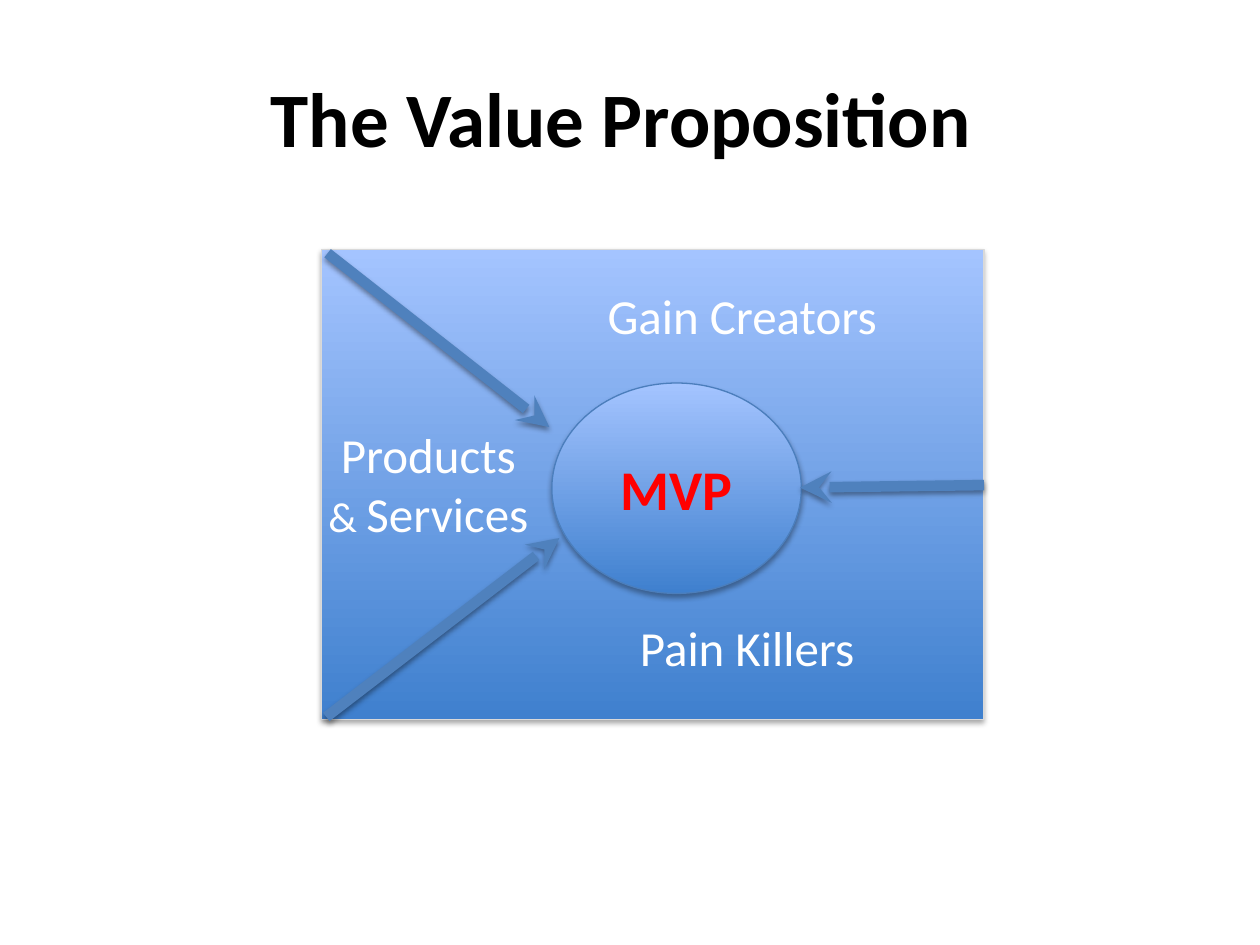
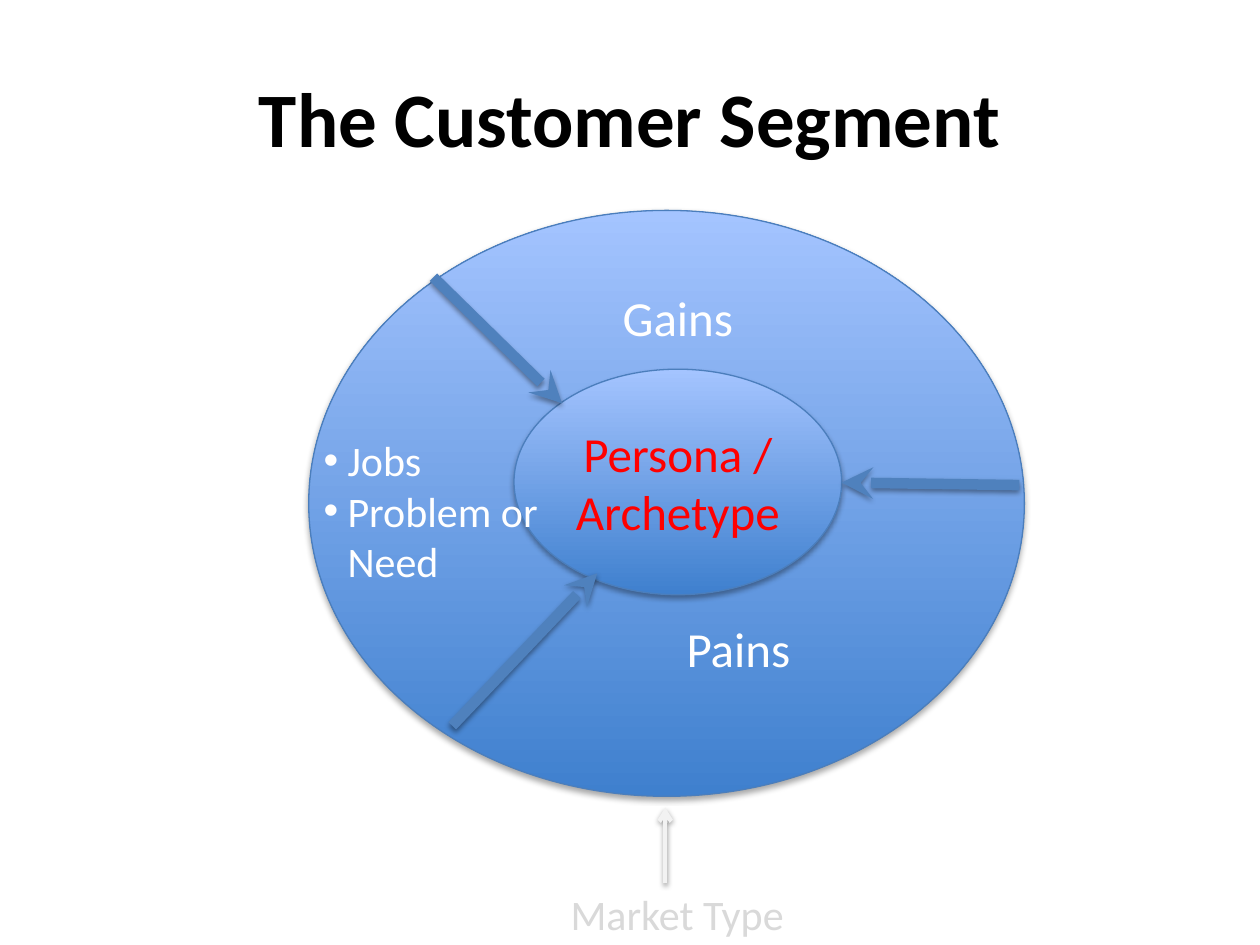
from dataclasses import dataclass

from lxml.etree import SubElement
from pptx import Presentation
from pptx.dml.color import RGBColor
from pptx.enum.shapes import MSO_CONNECTOR as Connector, MSO_SHAPE as Shape
from pptx.enum.text import MSO_ANCHOR as Anchor, MSO_AUTO_SIZE as AutoSize, PP_ALIGN as Align
from pptx.oxml.ns import qn
from pptx.util import Inches, Pt


@dataclass(frozen=True)
class Theme:
    font: str = "Calibri"
    title_size: int = 44
    core_size: int = 32
    label_size: int = 28
    small_size: int = 24
    black: str = "000000"
    white: str = "FFFFFF"
    accent: str = "FF0000"
    gradient: tuple = ("3F80CE", "A4C4FF")
    outline: str = "4B7EBC"
    arrow: str = "4F81BD"
    grey: str = "D9D9D9"
    pale: str = "F2F2F2"


THEME = Theme()


def rgb(value):
    return RGBColor.from_string(value)


def add_shadow(effects, distance, opacity):
    shadow = SubElement(effects, qn("a:outerShdw"), blurRad=str(Pt(3.1)),
                        dist=str(Pt(distance)), dir="5400000", rotWithShape="0")
    color = SubElement(shadow, qn("a:srgbClr"), val=THEME.black)
    SubElement(color, qn("a:alpha"), val=str(opacity * 1000))


def add_bullet(para, indent=0.19):
    props = para._p.get_or_add_pPr()
    props.set("marL", str(Inches(indent)))
    props.set("indent", str(-Inches(indent)))
    SubElement(props, qn("a:buFont"), typeface="Arial")
    SubElement(props, qn("a:buChar"), char="•")


def write_text(frame, text, size=THEME.label_size, color=THEME.white, bold=False,
               align=Align.CENTER, bullets=False, small=None):
    """Write one paragraph per line; the part named by small gets the small size."""
    for number, line in enumerate(text.split("\n")):
        para = frame.paragraphs[0] if number == 0 else frame.add_paragraph()
        para.alignment = align
        if bullets:
            add_bullet(para)
        if small:
            for part in line.partition(small):
                para.add_run().text = part
        else:
            para.text = line
        for span in para.runs:
            font = span.font
            font.name, font.bold = THEME.font, bold
            font.size = Pt(THEME.small_size if span.text == small else size)
            font.color.rgb = rgb(color)


def add_label(page, place, text, wrap=True, anchor=Anchor.TOP,
              fit=AutoSize.SHAPE_TO_FIT_TEXT, **text_format):
    box = page.shapes.add_textbox(*map(Inches, place))
    frame = box.text_frame
    frame.word_wrap, frame.vertical_anchor, frame.auto_size = wrap, anchor, fit
    write_text(frame, text, **text_format)


def add_title(page, text):
    add_label(page, (0.5, 0.3, 9, 1.25), text, anchor=Anchor.MIDDLE, fit=AutoSize.NONE,
              size=THEME.title_size, color=THEME.black, bold=True)


def add_area(page, kind, place, text=None, outline=THEME.outline, **text_format):
    """Add a shape with the shared upward gradient and soft shadow."""
    area = page.shapes.add_shape(kind, *map(Inches, place))
    area.fill.gradient()
    area.fill.gradient_angle = 90
    for stop, position, color in zip(area.fill.gradient_stops, (0, 1), THEME.gradient):
        stop.position, stop.color.rgb = position, rgb(color)
    area.line.color.rgb = rgb(outline)
    area.line.width = Pt(0.75)
    area.shadow.inherit = False
    add_shadow(area._element.spPr.find(qn("a:effectLst")), 1.8, 35)
    if text:
        area.text_frame.word_wrap = True
        area.text_frame.vertical_anchor = Anchor.MIDDLE
        write_text(area.text_frame, text, color=THEME.accent, **text_format)


def add_arrow(page, start, end, color=THEME.arrow, width=6, head="stealth"):
    arrow = page.shapes.add_connector(Connector.STRAIGHT, *map(Inches, start + end))
    arrow.line.color.rgb = rgb(color)
    arrow.line.width = Pt(width)
    SubElement(arrow.line._get_or_add_ln(), qn("a:tailEnd"), type=head)
    add_shadow(SubElement(arrow._element.spPr, qn("a:effectLst")), 1.6, 38)


def add_value_proposition(page):
    add_area(page, Shape.RECTANGLE, (2.55, 1.98, 5.26, 3.73), outline=THEME.grey)
    add_area(page, Shape.OVAL, (4.38, 3.04, 1.98, 1.67), "MVP",
             size=THEME.core_size, bold=True)
    for start, end in (((2.6, 2.01), (4.36, 3.39)),
                       ((2.59, 5.69), (4.44, 4.27)),
                       ((7.81, 3.85), (6.35, 3.87))):
        add_arrow(page, start, end)
    add_label(page, (2.48, 3.32, 1.84, 1.04), "Products & Services", small="& ")
    add_label(page, (4.68, 2.22, 2.42, 0.57), "Gain Creators")
    add_label(page, (4.95, 4.85, 1.96, 0.57), "Pain Killers")
    add_title(page, "The Value Proposition ")


def add_customer_segment(page):
    add_area(page, Shape.OVAL, (2.45, 1.67, 5.68, 4.65))
    add_area(page, Shape.OVAL, (4.08, 2.93, 2.6, 1.79), "Persona /\vArchetype")
    for start, end in (((3.44, 2.2), (4.46, 3.2)),
                       ((3.59, 5.76), (4.74, 4.55)),
                       ((8.09, 3.85), (6.68, 3.83))):
        add_arrow(page, start, end)
    add_label(page, (2.47, 3.4, 2, 1.31), "Jobs\nProblem or Need",
              size=THEME.small_size, align=Align.LEFT, bullets=True)
    add_label(page, (4.35, 2.23, 2.06, 0.57), "Gains")
    add_label(page, (5.02, 4.86, 1.68, 0.57), "Pains")
    add_title(page, "The Customer Segment")
    add_label(page, (4.43, 7, 1.91, 0.5), "Market Type", wrap=False,
              size=THEME.small_size, color=THEME.grey, align=Align.LEFT)
    add_arrow(page, (5.28, 7.01), (5.28, 6.41), color=THEME.pale, width=2.5, head="arrow")


def main():
    deck = Presentation()
    deck.slide_width, deck.slide_height = Inches(10), Inches(7.5)
    for build in (add_value_proposition, add_customer_segment):
        build(deck.slides.add_slide(deck.slide_layouts[6]))
    deck.save("out.pptx")


if __name__ == "__main__":
    main()
